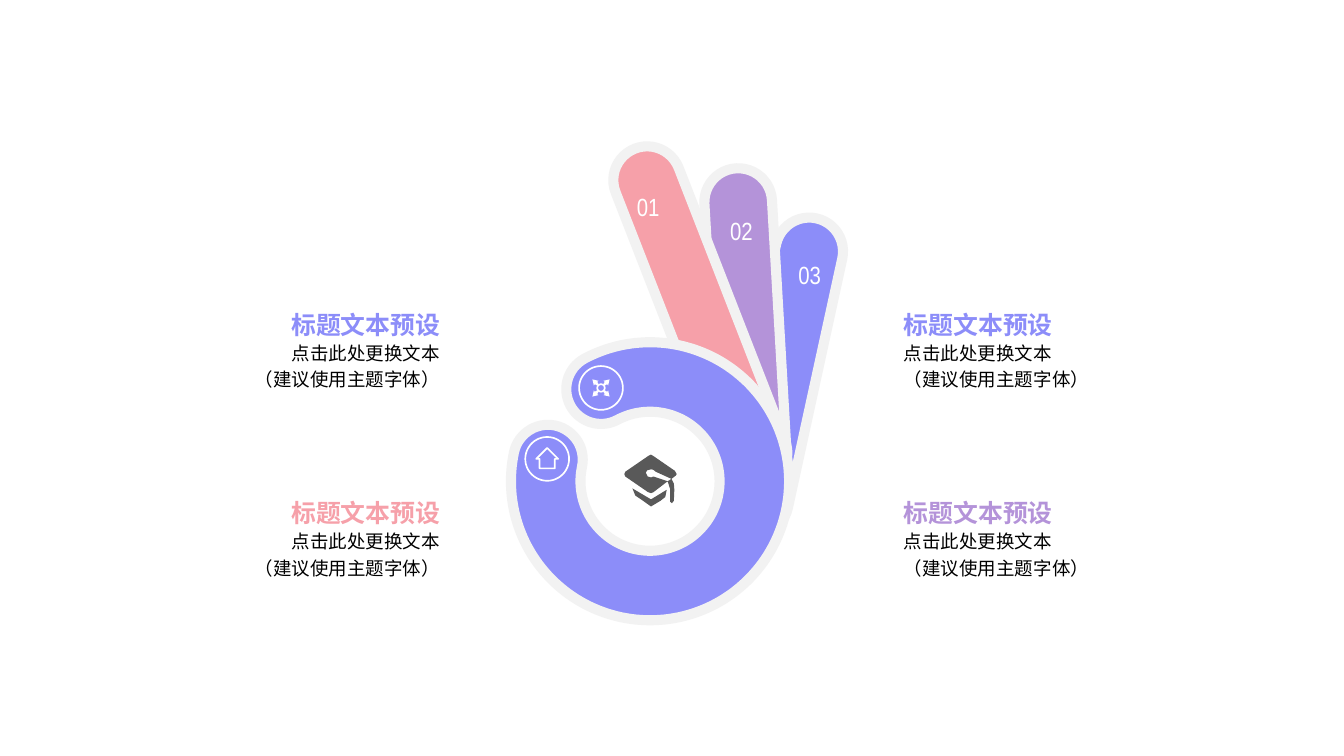
from math import cos, radians, sin

from pptx import Presentation
from pptx.dml.color import RGBColor
from pptx.enum.shapes import MSO_SHAPE
from pptx.enum.text import MSO_ANCHOR, PP_ALIGN
from pptx.util import Cm, Pt

COLORS = {
    "blue": "8C8DF9",
    "purple": "B493D9",
    "pink": "F6A0A9",
    "rim": "F2F2F2",
    "grey": "595959",
    "white": "FFFFFF",
    "black": "000000",
}


def style_shape(shape, fill, line, width=1):
    shape.shadow.inherit = False
    if fill:
        shape.fill.solid()
        shape.fill.fore_color.rgb = RGBColor.from_string(COLORS[fill])
    else:
        shape.fill.background()
    if line:
        shape.line.color.rgb = RGBColor.from_string(COLORS[line])
        shape.line.width = Pt(width)
    else:
        shape.line.fill.background()


def add_text(place, lines, size, font, color, align, bold=False, spacing=1.0):
    box = page.shapes.add_textbox(*[Cm(length) for length in place])
    frame = box.text_frame
    frame.word_wrap = True
    frame.margin_top = frame.margin_bottom = 0
    para = frame.paragraphs[0]
    para.alignment = align
    para.line_spacing = spacing
    for number, line in enumerate(lines):
        if number:
            para.add_line_break()
        span = para.add_run()
        span.text = line
        span.font.size = Pt(size)
        span.font.name = font
        span.font.bold = bold
        span.font.color.rgb = RGBColor.from_string(COLORS[color])
    return frame


deck = Presentation()
deck.slide_width, deck.slide_height = Cm(28.22), Cm(15.88)
page = deck.slides.add_slide(deck.slide_layouts[6])

# Fingers, from back to front
FINGER_WIDTH = 1.42
fingers = [
    (13.03, 7.19, 6.78, 102.3, "blue"),
    (12.01, 6.48, 7.32, 86.7, "purple"),
    (10.92, 5.94, 7.57, 68.7, "pink"),
]
for left, top, length, angle, color in fingers:
    finger = page.shapes.add_shape(
        MSO_SHAPE.ROUNDED_RECTANGLE, Cm(left), Cm(top), Cm(length), Cm(FINGER_WIDTH))
    finger.adjustments[0] = 0.5
    finger.rotation = angle
    style_shape(finger, color, "rim", 6)

# Palm: an open ring with round ends, from the index finger tip to the thumb tip
center_x, center_y = 13.65, 10.11
outer, inner = 2.92, 1.46
middle, cap = (outer + inner) / 2, (outer - inner) / 2
start, end = 242, 552
palm = []
for x, y, radius, first, last, step in [
    (center_x, center_y, outer, start, end, 2),
    (center_x + middle * cos(radians(end)), center_y + middle * sin(radians(end)),
     cap, end, end + 180, 6),
    (center_x, center_y, inner, end, start, -2),
    (center_x + middle * cos(radians(start)), center_y + middle * sin(radians(start)),
     cap, start + 180, start + 360, 6),
]:
    palm += [(x + radius * cos(radians(a)), y + radius * sin(radians(a)))
             for a in range(first, last, step)]

# Graduation cap: board, base and tassel
cap_board = [
    (13.61, 9.58), (13.67, 9.55), (13.72, 9.58), (14.17, 9.89), (14.21, 9.96),
    (14.19, 9.99), (14.10, 10.06), (13.77, 9.91), (13.72, 9.87), (13.67, 9.86),
    (13.59, 9.88), (13.56, 9.93), (13.60, 10.01), (13.67, 10.03), (13.72, 10.01),
    (14.02, 10.11), (13.72, 10.34), (13.67, 10.36), (13.61, 10.34), (13.13, 10.01),
    (13.11, 9.96), (13.13, 9.91),
]
cap_base = [
    (13.28, 10.26), (13.34, 10.41), (13.46, 10.49), (13.67, 10.64), (13.87, 10.52),
    (13.97, 10.44), (14.00, 10.29), (13.67, 10.49),
]
cap_tassel = [
    (14.07, 10.54), (14.11, 10.57), (14.15, 10.52), (14.16, 10.29), (14.15, 10.16),
    (14.10, 10.06), (14.02, 10.11), (14.07, 10.27),
]

# House and four outward arrows
house = [
    (11.49, 9.41), (11.72, 9.64), (11.65, 9.64), (11.65, 9.84),
    (11.33, 9.84), (11.33, 9.64), (11.26, 9.64),
]
arrows_x, arrows_y = 12.62, 8.15
arrow = [(0.18, -0.18), (0.05, -0.15), (0.08, -0.13), (0.05, -0.08),
         (0.08, -0.05), (0.13, -0.08), (0.15, -0.05)]
arrows = [[(arrows_x + sx * x, arrows_y + sy * y) for x, y in arrow]
          for sx in (1, -1) for sy in (1, -1)]

outlines = [
    ([palm], "blue", "rim", 6),
    ([cap_board, cap_base, cap_tassel], "grey", None, 0),
    ([house], None, "white", 1),
    (arrows, "white", None, 0),
]
for contours, fill, line, width in outlines:
    builder = None
    for contour in contours:
        points = [(Cm(x), Cm(y)) for x, y in contour]
        if builder is None:
            builder = page.shapes.build_freeform(*points[0])
        else:
            builder.move_to(*points[0])
        builder.add_line_segments(points[1:], close=True)
    style_shape(builder.convert_to_shape(), fill, line, width)

# White circles round the icons and between the arrows
for x, y, radius in [(11.49, 9.64, 0.46), (arrows_x, arrows_y, 0.46),
                     (arrows_x, arrows_y, 0.08)]:
    circle = page.shapes.add_shape(
        MSO_SHAPE.OVAL, Cm(x - radius), Cm(y - radius), Cm(2 * radius), Cm(2 * radius))
    style_shape(circle, None, "white", 1)

# Finger numbers
for number, x, y in [("01", 13.61, 3.91), ("02", 15.57, 4.42), ("03", 17.0, 5.33)]:
    frame = add_text((x - 0.5, y, 1, 0.86), [number], 14.8, "Arial Narrow",
                     "white", PP_ALIGN.CENTER)
    frame.vertical_anchor = MSO_ANCHOR.MIDDLE
    frame.word_wrap = False

# Headings with their texts
for left, align, colors in [
    (3.66, PP_ALIGN.RIGHT, ("blue", "pink")),
    (18.57, PP_ALIGN.LEFT, ("blue", "purple")),
]:
    for top, color in zip((6.51, 10.46), colors):
        heading = add_text((left, top, 5.99, 0.56), ["标题文本预设"], 14.8, "Calibri",
                           color, align, bold=True)
        body = add_text((left, top + 0.58, 5.99, 1.24),
                        ["点击此处更换文本", "（建议使用主题字体）"], 11, "Calibri",
                        "black", align, spacing=1.2)
        for frame in (heading, body):
            frame.margin_left = frame.margin_right = Cm(0.41)

deck.save("out.pptx")
